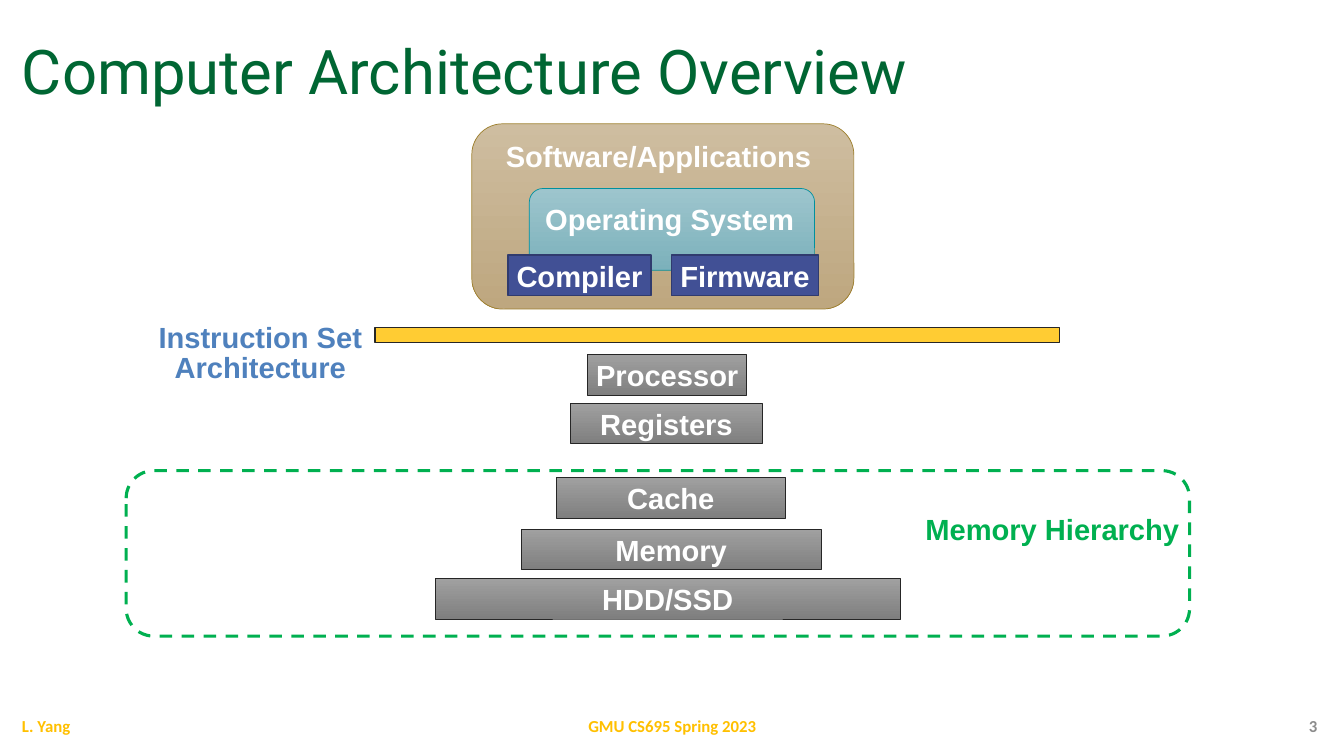
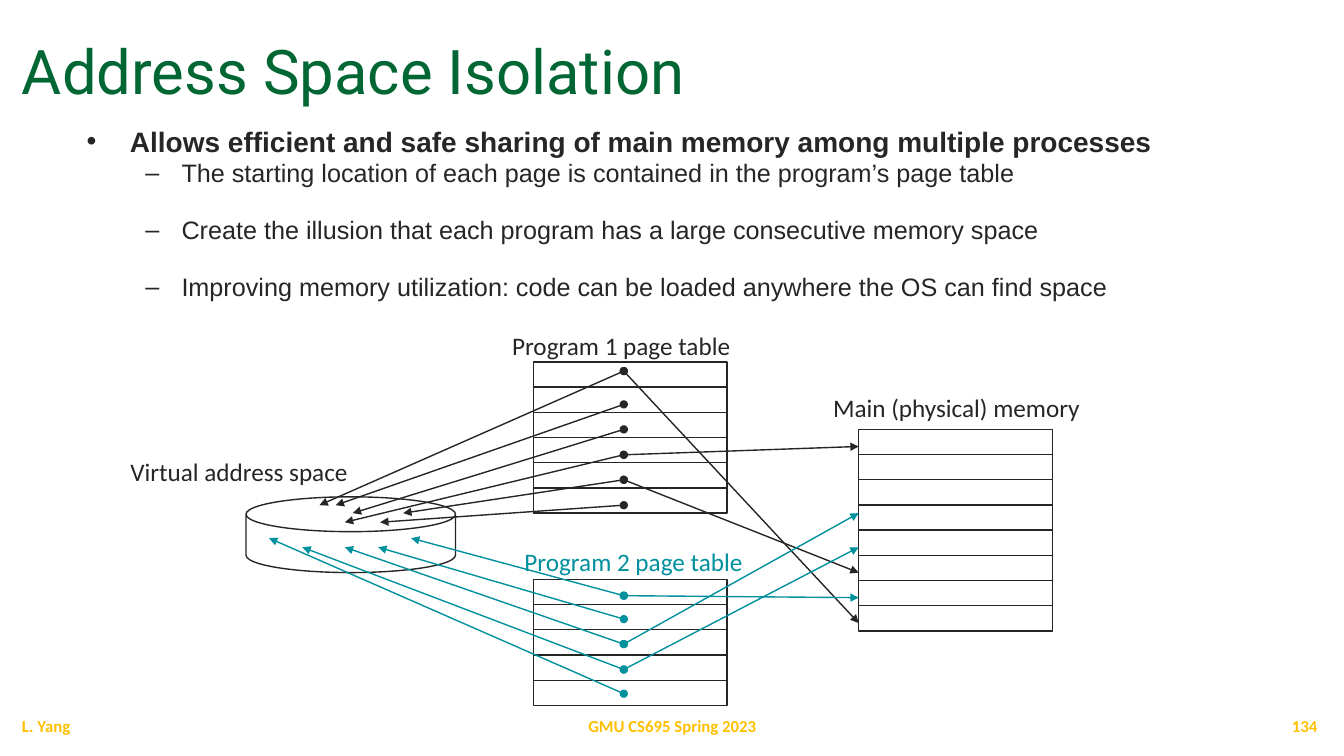
from lxml import etree
from pptx import Presentation
from pptx.dml.color import RGBColor
from pptx.enum.dml import MSO_LINE
from pptx.enum.shapes import MSO_CONNECTOR, MSO_SHAPE
from pptx.enum.text import MSO_ANCHOR, MSO_AUTO_SIZE, PP_ALIGN
from pptx.oxml.ns import qn
from pptx.util import Cm, Pt

RECT, ROUND, CAN = MSO_SHAPE.RECTANGLE, MSO_SHAPE.ROUNDED_RECTANGLE, MSO_SHAPE.CAN
LEFT, MID, RIGHT = PP_ALIGN.LEFT, PP_ALIGN.CENTER, PP_ALIGN.RIGHT
CENTER, BOTTOM = MSO_ANCHOR.MIDDLE, MSO_ANCHOR.BOTTOM
FIXED = MSO_AUTO_SIZE.NONE
DASH = MSO_LINE.DASH
STRAIGHT = MSO_CONNECTOR.STRAIGHT

INK, TEAL, GOLD, WHITE = "262626", "00909E", "FFC000", "FFFFFF"
GREEN, LEAF, BLUE, GREY = "006633", "00B050", "4F81BD", "8C8C8C"
STEEL = ("A0A0A0", "7F7F7F")
hue = RGBColor.from_string


def box(slide, kind, at, fill, edge, wide):
    """Draw a shape; fill is None, one colour or a pair for a gradient."""
    shape = slide.shapes.add_shape(kind, *map(Cm, at))
    shape.shadow.inherit = False
    if fill is None:
        shape.fill.background()
    elif isinstance(fill, tuple):
        shape.fill.gradient()
        shape.fill.gradient_angle = 270
        for stop, tone in zip(shape.fill.gradient_stops, fill):
            stop.color.rgb = hue(tone)
    else:
        shape.fill.solid()
        shape.fill.fore_color.rgb = hue(fill)
    shape.line.color.rgb = hue(edge)
    shape.line.width = Pt(wide)
    return shape


def write(shape, lines, size, face, tone, bold=False, align=MID, lead=1.0, wrap=False):
    """Fill a shape with plain lines of text."""
    frame = shape.text_frame
    frame.word_wrap = wrap
    frame.auto_size = FIXED
    frame.vertical_anchor = CENTER
    for i, line in enumerate(lines):
        para = frame.add_paragraph() if i else frame.paragraphs[0]
        para.alignment = align
        para.line_spacing = lead
        run = para.add_run()
        run.text = line
        font = run.font
        font.size, font.name, font.bold = Pt(size), face, bold
        font.color.rgb = hue(tone)


deck = Presentation()
deck.slide_width, deck.slide_height = Cm(33.87), Cm(19.05)
stack = deck.slides.add_slide(deck.slide_layouts[5])
space = deck.slides.add_slide(deck.slide_layouts[1])

# Titles and footers
for slide, name, num, tint in (
    (stack, "Computer Architecture Overview", "3", GREY),
    (space, "Address Space Isolation", "134", GOLD),
):
    title = slide.shapes.title
    title.left, title.top, title.width, title.height = map(Cm, (0.3, 0.43, 33.15, 2.41))
    write(title, [name], 44, "Roboto", GREEN, align=LEFT, lead=0.9, wrap=True)
    title.text_frame.vertical_anchor = BOTTOM
    for x, w, text, tone, align in (
        (0.3, 7.62, "L. Yang", GOLD, LEFT),
        (11.23, 11.43, "GMU CS695 Spring 2023", GOLD, MID),
        (25.83, 7.62, num, tint, RIGHT),
    ):
        foot = slide.shapes.add_textbox(Cm(x), Cm(17.78), Cm(w), Cm(1.02))
        write(foot, [text], 12, "Calibri", tone, True, align, wrap=True)

# Frames of the stack
box(stack, RECT, (9.45, 8.26, 17.25, 0.38), "FFCC33", INK, 1)
box(stack, ROUND, (11.89, 3.12, 9.63, 4.67), ("CEBDA0", "BEA77F"), "9D7F2C", 0.5)
box(stack, ROUND, (13.34, 4.75, 7.19, 2.06), ("9DC5CD", "7CB1BB"), TEAL, 0.5)
box(stack, ROUND, (3.18, 11.86, 26.8, 4.17), None, LEAF, 2.25).line.dash_style = DASH

# Named blocks of the stack
for text, x, y, w, fill, edge, wide in (
    ("Compiler", 12.8, 6.43, 3.61, "415095", "303B6E", 1),
    ("Firmware", 16.92, 6.43, 3.71, "415095", "303B6E", 1),
    ("Processor", 14.81, 8.94, 4.01, STEEL, INK, 0.5),
    ("Registers", 14.38, 10.16, 4.83, STEEL, INK, 0.5),
    ("Cache", 14.02, 12.04, 5.77, STEEL, INK, 0.5),
    ("Memory", 13.13, 13.34, 7.57, STEEL, INK, 0.5),
    ("HDD/SSD", 10.97, 14.58, 11.71, STEEL, INK, 0.5),
):
    block = box(stack, RECT, (x, y, w, 1.02), fill, edge, wide)
    write(block, [text], 20.8, "Arial", WHITE, True)

# Labels of the stack
for lines, at, tone, lead in (
    (["Software/Applications"], (12.52, 3.43, 8.15, 1.02), WHITE, 1),
    (["Operating System"], (13.51, 5, 6.73, 1.02), WHITE, 1),
    (["Instruction Set", "Architecture"], (3.78, 8.1, 5.56, 1.68), BLUE, 0.85),
    (["Memory Hierarchy"], (23.09, 12.95, 6.86, 0.91), LEAF, 0.85),
):
    label = stack.shapes.add_textbox(*map(Cm, at))
    write(label, lines, 20.8, "Arial", tone, True, lead=lead)

# Bullet list
body = space.placeholders[1]
body.left, body.top, body.width, body.height = map(Cm, (1.93, 3, 29.51, 5.31))
frame = body.text_frame
frame.auto_size = FIXED
for i, (level, gap, text) in enumerate((
    (0, 0, "Allows efficient and safe sharing of main memory among multiple processes"),
    (1, 0, "The starting location of each page is contained in the program’s page table"),
    (1, 19, "Create the illusion that each program has a large consecutive memory space"),
    (1, 19, "Improving memory utilization: code can be loaded anywhere the OS can find space"),
)):
    para = frame.add_paragraph() if i else frame.paragraphs[0]
    para.level = level
    mark, left, hang, size = (("•", 1.09, 1.09, 20), ("–", 2.39, 0.91, 18))[level]
    props = para._p.get_or_add_pPr()
    props.set("marL", str(Cm(left)))
    props.set("indent", str(-Cm(hang)))
    etree.SubElement(props, qn("a:buChar")).set("char", mark)
    para.space_before = Pt(gap)
    run = para.add_run()
    run.text = text
    font = run.font
    font.size, font.name, font.bold = Pt(size), "Arial", level == 0
    font.color.rgb = hue(INK)

# Page tables and memory: outlines now, row rules gathered as lines
lines = []
step, wide = 2.54 / 4, 4.88
for x, y, rows in ((13.44, 9.12, 6), (21.64, 10.82, 8), (13.44, 14.6, 5)):
    grid = box(space, RECT, (x, y, wide, rows * step), None, INK, 1)
    for i in range(1, rows):
        host = grid if 2 * i == rows else None
        lines.append((x, y + i * step, x + wide, y + i * step, INK, False, host))
disk = box(space, CAN, (6.2, 12.52, 5.28, 1.91), None, INK, 1)
disk.adjustments[0] = 0.46

# Page entries: row height, place in the virtual space, height in memory
for tone, rows in (
    (INK, (
        (9.35, 8.05, 12.73, 15.7),
        (10.19, 8.46, 12.73, None),
        (10.82, 8.89, 12.93, None),
        (11.46, 8.69, 13.16, 11.25),
        (12.09, 10.16, 12.93, 14.43),
        (12.73, 9.58, 13.16, None),
    )),
    (TEAL, (
        (15.01, 10.36, 13.56, 15.06),
        (15.6, 9.53, 13.79, None),
        (16.23, 8.69, 13.79, 12.93),
        (16.87, 7.62, 13.79, 13.79),
        (17.48, 6.78, 13.56, None),
    )),
):
    for y, vx, vy, my in rows:
        lines.append((15.72, y, vx, vy, tone, True, None))
        if my is not None:
            lines.append((15.72, y, 21.64, my, tone, True, None))

# Rules and arrows
for x1, y1, x2, y2, tone, arrow, host in lines:
    link = space.shapes.add_connector(STRAIGHT, Cm(x1), Cm(y1), Cm(x2), Cm(y2))
    link.line.color.rgb = hue(tone)
    link.line.width = Pt(1)
    props = link._element.spPr
    if arrow:
        for end, kind in (("a:headEnd", "oval"), ("a:tailEnd", "triangle")):
            etree.SubElement(props.find(qn("a:ln")), qn(end)).set("type", kind)
    etree.SubElement(props, qn("a:effectLst"))
    if host is not None:
        link.begin_connect(host, 1)
        link.end_connect(host, 3)

# Labels of the diagram
for text, x, y, w, tone in (
    ("Program 1 page table", 12.62, 8.2, 6.07, INK),
    ("Main (physical) memory", 20.7, 9.75, 6.81, INK),
    ("Program 2 page table", 12.93, 13.64, 6.07, TEAL),
    ("Virtual address space", 3, 11.38, 6.05, INK),
):
    label = space.shapes.add_textbox(Cm(x), Cm(y), Cm(w), Cm(1.02))
    write(label, [text], 18, "Calibri", tone)

deck.save("out.pptx")
